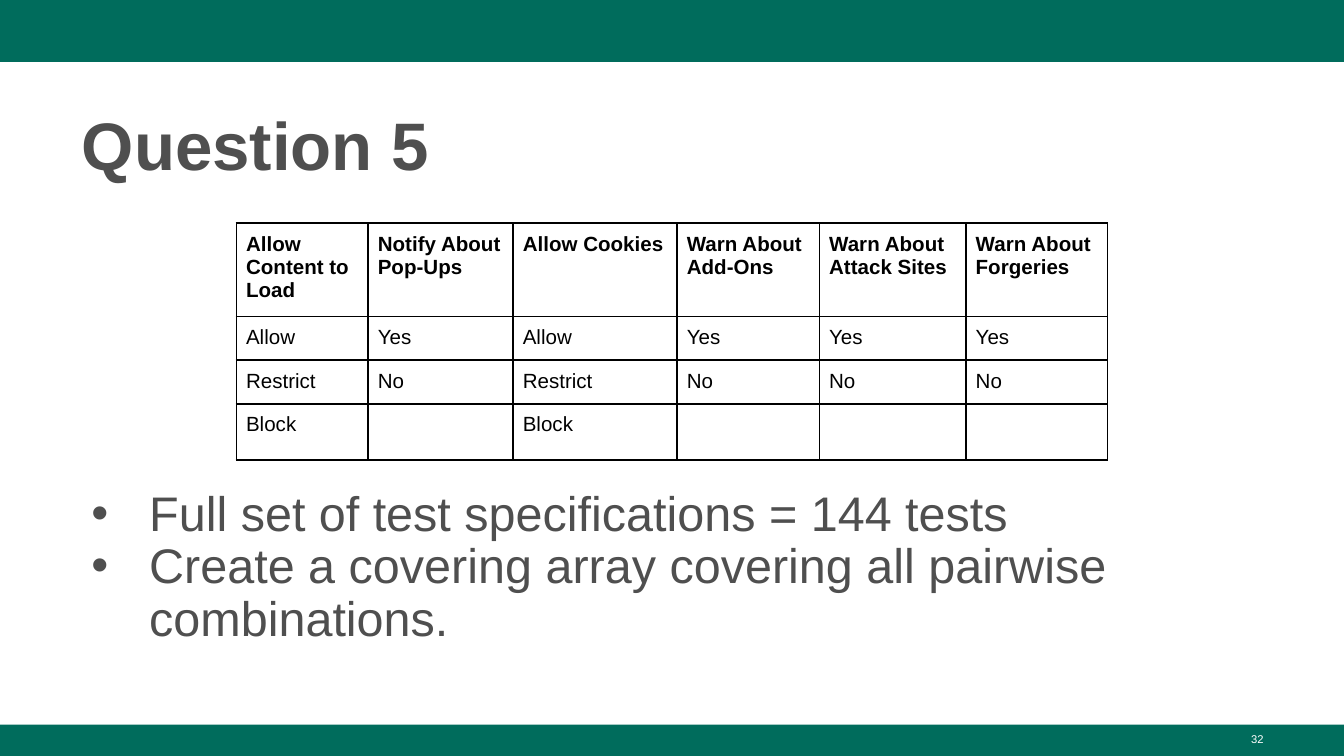
"""Build the Question 5 slide with its options table and covering array task."""
from lxml.etree import SubElement
from pptx import Presentation
from pptx.dml.color import RGBColor
from pptx.enum.shapes import MSO_SHAPE
from pptx.enum.text import MSO_ANCHOR, PP_ALIGN
from pptx.oxml.ns import qn
from pptx.util import Cm, Pt

GREEN = RGBColor(0x00, 0x6C, 0x5C)
GREY = RGBColor(0x4F, 0x4F, 0x4F)
BLACK = RGBColor(0x00, 0x00, 0x00)
WHITE = RGBColor(0xFF, 0xFF, 0xFF)

COLUMNS = [
    (2.49, "Allow Content to Load", ["Allow", "Restrict", "Block"]),
    (2.74, "Notify About Pop-Ups", ["Yes", "No"]),
    (3.1, "Allow Cookies", ["Allow", "Restrict", "Block"]),
    (2.69, "Warn About Add-Ons", ["Yes", "No"]),
    (2.77, "Warn About Attack Sites", ["Yes", "No"]),
    (2.67, "Warn About Forgeries", ["Yes", "No"]),
]
ROW_HEIGHTS = [1.66, 0.78, 0.78, 1.06]
TASKS = [
    "Full set of test specifications = 144 tests",
    "Create a covering array covering all pairwise combinations.",
]


class SlideBuilder:
    font_name = "Arial"

    def __init__(self, page):
        self.page = page

    def style(self, para, size, color, bold=False):
        para.font.name = self.font_name
        para.font.size = Pt(size)
        para.font.color.rgb = color
        para.font.bold = bold

    def band(self, top, height):
        band = self.page.shapes.add_shape(
            MSO_SHAPE.RECTANGLE, 0, Cm(top), Cm(25.4), Cm(height))
        band.shadow.inherit = False
        band.fill.solid()
        band.fill.fore_color.rgb = GREEN
        band.line.fill.background()

    def text(self, left, top, width, height, lines, size, color, bold=False,
             align=PP_ALIGN.LEFT, spacing=1.0, bullet=False):
        box = self.page.shapes.add_textbox(Cm(left), Cm(top), Cm(width), Cm(height))
        frame = box.text_frame
        frame.word_wrap = True
        for index, line in enumerate(lines):
            para = frame.add_paragraph() if index else frame.paragraphs[0]
            para.text = line
            para.alignment = align
            para.line_spacing = spacing
            if bullet:
                self.bullet(para)
            self.style(para, size, color, bold)

    def bullet(self, para):
        properties = para._p.get_or_add_pPr()
        properties.set("marL", str(Cm(1.27)))
        properties.set("indent", str(-Cm(1.09)))
        SubElement(properties, qn("a:buFont"), typeface=self.font_name)
        SubElement(properties, qn("a:buChar"), char="•")

    def border(self, cell):
        properties = cell._tc.get_or_add_tcPr()
        for position, side in enumerate(("lnL", "lnR", "lnT", "lnB")):
            line = properties.makeelement(qn(f"a:{side}"), {"w": str(Pt(1))})
            fill = SubElement(line, qn("a:solidFill"))
            SubElement(fill, qn("a:srgbClr"), val=str(BLACK))
            properties.insert(position, line)

    def cell(self, cell, text, bold):
        cell.margin_left = cell.margin_right = Cm(0.18)
        cell.margin_top = cell.margin_bottom = Cm(0.18)
        cell.fill.background()
        cell.text = text
        self.style(cell.text_frame.paragraphs[0], 11, BLACK, bold)
        self.border(cell)

    def table(self, left, top, columns, heights):
        width = sum(column[0] for column in columns)
        table = self.page.shapes.add_table(
            len(heights), len(columns), Cm(left), Cm(top),
            Cm(width), Cm(sum(heights))).table
        for row, height in zip(table.rows, heights):
            row.height = Cm(height)
        for column_index, (column_width, heading, options) in enumerate(columns):
            table.columns[column_index].width = Cm(column_width)
            entries = [heading, *options]
            for row_index in range(len(heights)):
                entry = entries[row_index] if row_index < len(entries) else ""
                self.cell(table.cell(row_index, column_index), entry, row_index == 0)


def main():
    deck = Presentation()
    deck.slide_width, deck.slide_height = Cm(25.4), Cm(14.29)
    page = deck.slides.add_slide(deck.slide_layouts[6])
    page.background.fill.solid()
    page.background.fill.fore_color.rgb = WHITE
    builder = SlideBuilder(page)
    builder.band(0, 1.17)
    builder.band(13.7, 0.59)
    builder.text(18.21, 13.72, 5.92, 0.58, ["32"], 6, WHITE, align=PP_ALIGN.RIGHT)
    builder.text(1.3, 1.7, 22.83, 1.85, ["Question 5"], 36, GREY, bold=True, spacing=1.08)
    builder.table(4.47, 4.22, COLUMNS, ROW_HEIGHTS)
    builder.text(1.3, 9.13, 22.83, 4.1, TASKS, 26, GREY, spacing=0.9, bullet=True)
    deck.save("out.pptx")


if __name__ == "__main__":
    main()
